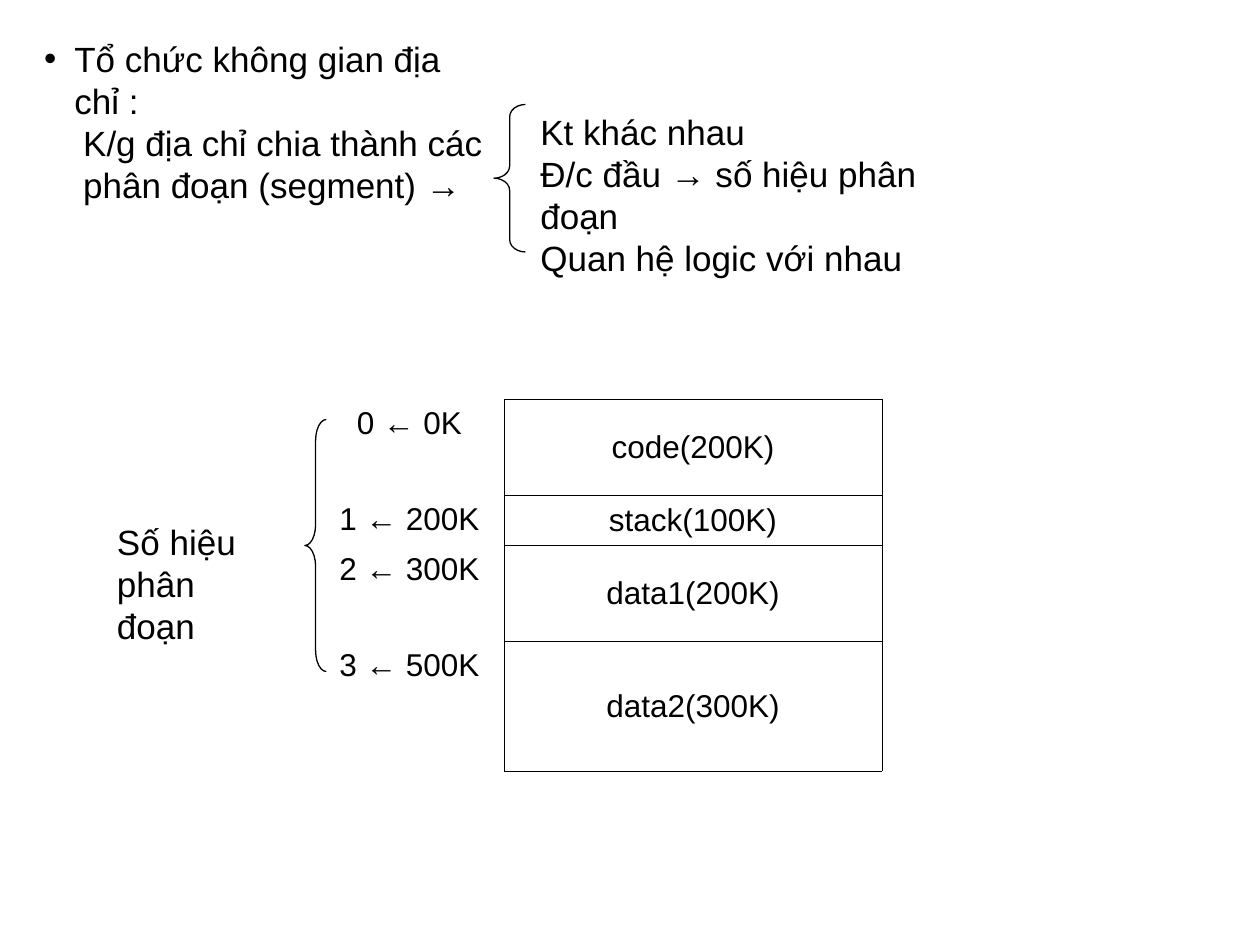
"""Build the slide on segmented address spaces."""
from dataclasses import dataclass

import pptx
import pptx.util
import pptx.dml.color
import pptx.enum.shapes
import pptx.enum.text
import pptx.oxml
import pptx.oxml.ns
from lxml import etree

Inches, Pt = pptx.util.Inches, pptx.util.Pt
qn = pptx.oxml.ns.qn


@dataclass
class Theme:
    font: str = "Arial"
    ink: str = "000000"
    text_size: float = 20
    table_size: float = 18
    brace_line: float = 0.75
    grid_line: float = 0.45


theme = Theme()
ink = pptx.dml.color.RGBColor.from_string(theme.ink)


def add_text(p, text, size):
    p.space_before = Pt(0)
    r = p.add_run()
    r.text = text
    r.font.name = theme.font
    r.font.size = Pt(size)
    r.font.color.rgb = ink


def add_border(cell, side, visible):
    ln = etree.SubElement(cell._tc.get_or_add_tcPr(), qn("a:" + side))
    if visible:
        ln.set("w", str(Pt(theme.grid_line)))
        fill = etree.SubElement(ln, qn("a:solidFill"))
        etree.SubElement(fill, qn("a:srgbClr"), val=theme.ink)
    else:
        etree.SubElement(ln, qn("a:noFill"))


prs = pptx.Presentation()
prs.slide_width, prs.slide_height = Inches(10), Inches(7.5)
s = prs.slides.add_slide(prs.slide_layouts[1])
title = s.shapes.title
title._element.getparent().remove(title._element)

body = s.placeholders[1]
body.left, body.top = Inches(0.25), Inches(0.25)
body.width, body.height = Inches(3.87), Inches(1.1)
tf = body.text_frame
tf.word_wrap = True
tf.auto_size = pptx.enum.text.MSO_AUTO_SIZE.NONE
outline = [
    ("Tổ chức không gian địa chỉ :", 0.24, -0.24, "•"),
    ("K/g địa chỉ chia thành các", 0.31, 0, None),
    ("phân đoạn (segment) →", 0.31, 0, None),
]
for i, (text, margin, indent, bullet) in enumerate(outline):
    p = tf.add_paragraph() if i else tf.paragraphs[0]
    pPr = p._p.get_or_add_pPr()
    pPr.set("marL", str(Inches(margin)))
    pPr.set("indent", str(Inches(indent)))
    if bullet:
        etree.SubElement(pPr, qn("a:buChar"), char=bullet)
    else:
        etree.SubElement(pPr, qn("a:buNone"))
    add_text(p, text, theme.text_size)

segments = [
    ("0 ← 0K", "code(200K)", 0.76),
    ("1 ← 200K", "stack(100K)", 0.4),
    ("2 ← 300K", "data1(200K)", 0.76),
    ("3 ← 500K", "data2(300K)", 1.03),
]
frame = s.shapes.add_table(len(segments), 2, Inches(2.5), Inches(3.17), Inches(4.5), Inches(2.95))
table = frame.table
table.first_row = table.horz_banding = False
table.columns[0].width, table.columns[1].width = Inches(1.5), Inches(3)
anchors = [pptx.enum.text.MSO_ANCHOR.TOP, pptx.enum.text.MSO_ANCHOR.MIDDLE]
for row, (address, segment, height) in enumerate(segments):
    table.rows[row].height = Inches(height)
    for col, text in enumerate((address, segment)):
        cell = table.cell(row, col)
        cell.vertical_anchor = anchors[col]
        for side in ("lnL", "lnR", "lnT", "lnB"):
            add_border(cell, side, col == 1 or side == "lnR")
        cell.fill.background()
        p = cell.text_frame.paragraphs[0]
        p.alignment = pptx.enum.text.PP_ALIGN.CENTER
        add_text(p, text, theme.table_size)

for left, top, width, height in [(2.42, 3.33, 0.17, 2), (3.92, 0.83, 0.25, 1.17)]:
    brace = s.shapes.add_shape(pptx.enum.shapes.MSO_SHAPE.LEFT_BRACE,
                               Inches(left), Inches(top), Inches(width), Inches(height))
    brace.adjustments[0] = height / 12 / width
    brace.shadow.inherit = False
    brace.fill.background()
    brace.line.color.rgb = ink
    brace.line.width = Pt(theme.brace_line)

notes = [
    (0.83, 4.08, 1.51, 0.77, False, ["Số hiệu", "phân đoạn"]),
    (4.19, 0.83, 3.83, 1.1, True,
     ["Kt khác nhau", "Đ/c đầu → số hiệu phân đoạn", "Quan hệ logic với nhau"]),
]
for left, top, width, height, wrap, lines in notes:
    sp = s.shapes.add_textbox(Inches(left), Inches(top), Inches(width), Inches(height))
    tf = sp.text_frame
    tf.word_wrap = wrap
    for i, text in enumerate(lines):
        p = tf.add_paragraph() if i else tf.paragraphs[0]
        add_text(p, text, theme.text_size)

prs.save("out.pptx")
